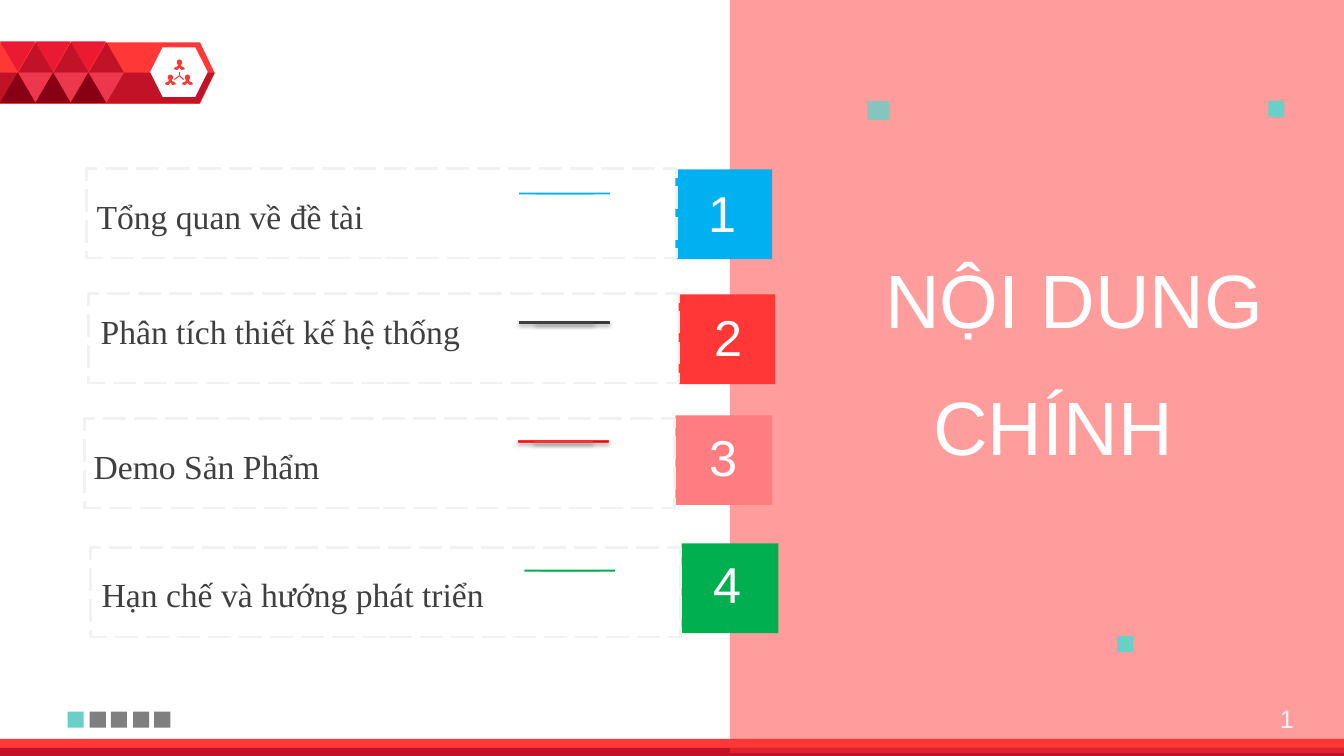
from lxml import etree
from pptx import Presentation
from pptx.dml.color import RGBColor
from pptx.enum.dml import MSO_LINE
from pptx.enum.shapes import MSO_CONNECTOR, MSO_SHAPE
from pptx.enum.text import PP_ALIGN
from pptx.oxml import parse_xml
from pptx.oxml.ns import qn
from pptx.util import Pt

SCALE = 9144  # EMU in one px, 100 px to the inch
RECT, TRIANGLE = MSO_SHAPE.RECTANGLE, MSO_SHAPE.ISOSCELES_TRIANGLE
PENTAGON, HEXAGON = MSO_SHAPE.PENTAGON, MSO_SHAPE.HEXAGON
STRAIGHT = MSO_CONNECTOR.STRAIGHT
LONG_DASH = MSO_LINE.LONG_DASH
LEFT, CENTER, RIGHT = PP_ALIGN.LEFT, PP_ALIGN.CENTER, PP_ALIGN.RIGHT

WHITE = RGBColor(0xFF, 0xFF, 0xFF)
PALE = RGBColor(0xF2, 0xF2, 0xF2)
GRAY = RGBColor(0x7F, 0x7F, 0x7F)
DARK = RGBColor(0x3F, 0x3F, 0x3F)
DARKER = RGBColor(0x2F, 0x2F, 0x2F)
RED = RGBColor(0xFF, 0x37, 0x37)
DEEP_RED = RGBColor(0xC2, 0x12, 0x27)
CRIMSON = RGBColor(0xEB, 0x19, 0x32)
ROSE = RGBColor(0xED, 0x37, 0x4D)
MAROON = RGBColor(0x88, 0x00, 0x14)
LINE_RED = RGBColor(0xFD, 0x30, 0x30)
LINE_DEEP = RGBColor(0xD1, 0x11, 0x11)
LINE_BRIGHT = RGBColor(0xFF, 0x13, 0x13)
PINK = RGBColor(0xFF, 0x7C, 0x80)
BLUE = RGBColor(0x00, 0xB0, 0xF0)
GREEN = RGBColor(0x00, 0xB0, 0x50)
TEAL = RGBColor(0x68, 0xD0, 0xC6)

A_NS = "http://schemas.openxmlformats.org/drawingml/2006/main"
SHADOW = (f'<a:effectLst xmlns:a="{A_NS}"><a:outerShdw blurRad="39370" dist="22860" '
          'dir="5400000" rotWithShape="0"><a:srgbClr val="000000">'
          '<a:alpha val="35000"/></a:srgbClr></a:outerShdw></a:effectLst>')

# label, colour, then corners of frame, square, digit and label, centre of
# the accent line, and the line's gradient and outline colours if it has them
TOPICS = [
    ("Tổng quan về đề tài", BLUE, (86, 167), (670, 168), (682, 176), (86, 189),
     (560, 192), None),
    ("Phân tích thiết kế hệ thống", RED, (88, 291), (673, 292), (688, 299), (90, 304),
     (560, 320), (DARKER, DARK, DARK)),
    ("Demo Sản Phẩm", PINK, (84, 415), (670, 412), (683, 418), (83, 437),
     (559, 438), (LINE_DEEP, LINE_BRIGHT, LINE_RED)),
    ("Hạn chế và hướng phát triển", GREEN, (90, 543), (676, 539), (687, 544), (91, 564),
     (565, 566), None),
]
# right half of a person, in tenths of a px from the top of the head
PERSON = [(0, 0), (18, 6), (25, 20), (26, 38), (16, 52), (16, 66),
          (40, 76), (52, 88), (52, 98), (20, 104), (0, 80)]


class Canvas:
    def __init__(self, slide, heading="Arial", body="Times New Roman"):
        self.shapes = slide.shapes
        self.heading, self.body = heading, body

    def shape(self, kind, x, y, w, h, fill=None, alpha=None, turn=0, adjust=None):
        s = self.shapes.add_shape(kind, *(v * SCALE for v in (x, y, w, h)))
        s.rotation = turn
        if adjust is not None:
            s.adjustments[0] = adjust
        return self.paint(s, fill, alpha)

    def paint(self, s, fill, alpha=None):
        s.shadow.inherit = False
        s.line.fill.background()
        if fill is None:
            s.fill.background()
            return s
        s.fill.solid()
        s.fill.fore_color.rgb = fill
        if alpha:
            color = s.fill._xPr.find(qn("a:solidFill"))[0]
            etree.SubElement(color, qn("a:alpha"), val=str(alpha * 1000))
        return s

    def outline(self, points, fill, per_px=1):
        """Filled polygon whose points count per_px units to the px."""
        builder = self.shapes.build_freeform(*points[0], scale=SCALE / per_px)
        builder.add_line_segments(points[1:])
        return self.paint(builder.convert_to_shape(), fill)

    def line(self, start, end, color, width):
        c = self.shapes.add_connector(STRAIGHT, *(v * SCALE for v in start + end))
        c.line.color.rgb = color
        c.line.width = Pt(width)
        etree.SubElement(c._element.spPr, qn("a:effectLst"))

    def frame(self, x, y, w, h):
        s = self.shape(RECT, x, y, w, h)
        s.line.color.rgb = PALE
        s.line.width = Pt(2)
        s.line.dash_style = LONG_DASH

    def text(self, words, x, y, w, h, size, color=WHITE, align=LEFT, font=None):
        s = self.shapes.add_textbox(*(v * SCALE for v in (x, y, w, h)))
        tf = s.text_frame
        tf.word_wrap = True
        p = tf.paragraphs[0]
        p.text, p.alignment = words, align
        p.font.name, p.font.size = font or self.heading, Pt(size)
        p.font.color.rgb = color

    def accent(self, center, color, raised):
        """Long and short bar on one centre; a raised one is shaded and casts a shadow."""
        cx, cy = center
        for w, h in ((90, 2), (58, 1)):
            s = self.shape(RECT, cx - w // 2, cy - h // 2, w, h, color)
            if raised:
                first, last, edge = raised
                s.fill.gradient()
                s.fill.gradient_angle = 180
                for stop, shade in zip(s.fill.gradient_stops, (first, last)):
                    stop.color.rgb = shade
                s.line.color.rgb = edge
                s.line.width = Pt(0.75)
                spPr = s._element.spPr
                spPr.replace(spPr.find(qn("a:effectLst")), parse_xml(SHADOW))

    def person(self, x, y):
        mirrored = [(-dx, dy) for dx, dy in reversed(PERSON[1:-1])]
        points = [(x * 10 + dx, y * 10 + dy) for dx, dy in PERSON + mirrored]
        self.outline(points, RED, per_px=10)


def draw_banner(cv):
    cv.shape(PENTAGON, 0, 42, 213, 61, RED, adjust=0.24)
    cv.outline([(0, 72), (213, 72), (198, 102), (0, 102)], DEEP_RED)
    cv.shape(HEXAGON, 149, 47, 57, 49, WHITE, adjust=0.25)
    for x, y in ((186, 74), (169, 74), (178, 59)):
        cv.person(x, y)
    for end in ((178, 71), (182, 79), (173, 79)):
        cv.line((178, 75), end, RED, 0.75)
    for x in range(0, 105, 35):
        cv.shape(TRIANGLE, x, 41, 35, 30, CRIMSON, turn=180)
        cv.shape(TRIANGLE, x + 18, 42, 35, 30, DEEP_RED)
        cv.shape(TRIANGLE, x + 18, 72, 35, 30, ROSE, turn=180)
        cv.shape(TRIANGLE, x, 72, 35, 30, MAROON)


def draw_panel(cv):
    cv.shape(RECT, 0, 733, 1333, 16, RED)
    cv.shape(RECT, 0, 742, 1333, 8, DEEP_RED)
    cv.shape(RECT, 724, -3, 609, 750, RED, alpha=49)
    cv.text("NỘI DUNG", 596, 246, 667, 101, 54, align=RIGHT)
    cv.text("CHÍNH", 506, 372, 667, 101, 54, align=RIGHT)
    cv.shape(RECT, 860, 100, 22, 19, TEAL, alpha=80)
    for x, y in ((1108, 631), (1258, 100)):
        cv.shape(RECT, x, y, 16, 16, TEAL)
    for i in range(5):
        cv.shape(RECT, 67 + round(i * 21.6), 706, 16, 16, GRAY if i else TEAL)
    cv.text("1", 1234, 693, 59, 40, 18, PALE, RIGHT)


def draw_topics(cv):
    for number, topic in enumerate(TOPICS, 1):
        label, color, frame, square, digit, words, center, raised = topic
        cv.shape(RECT, *square, 96, 89, color)
        cv.text(str(number), *digit, 70, 71, 36, align=CENTER)
        cv.text(label, *words, 531, 50, 24, DARK, font=cv.body)
        cv.accent(center, color, raised)
        cv.frame(*frame, 585, 89)


def main():
    prs = Presentation()
    prs.slide_width, prs.slide_height = 1333 * SCALE, 750 * SCALE
    cv = Canvas(prs.slides.add_slide(prs.slide_layouts[6]))
    draw_banner(cv)
    draw_panel(cv)
    draw_topics(cv)
    prs.save("out.pptx")


if __name__ == "__main__":
    main()
